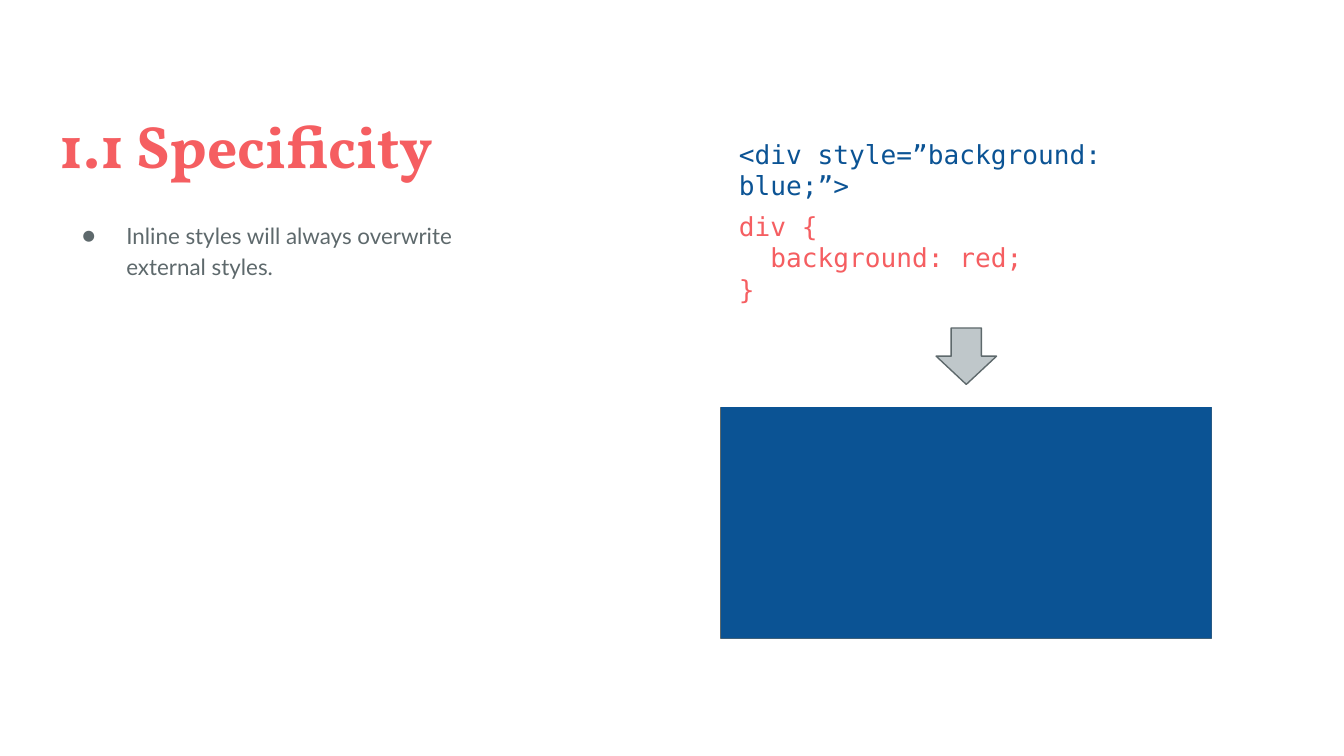
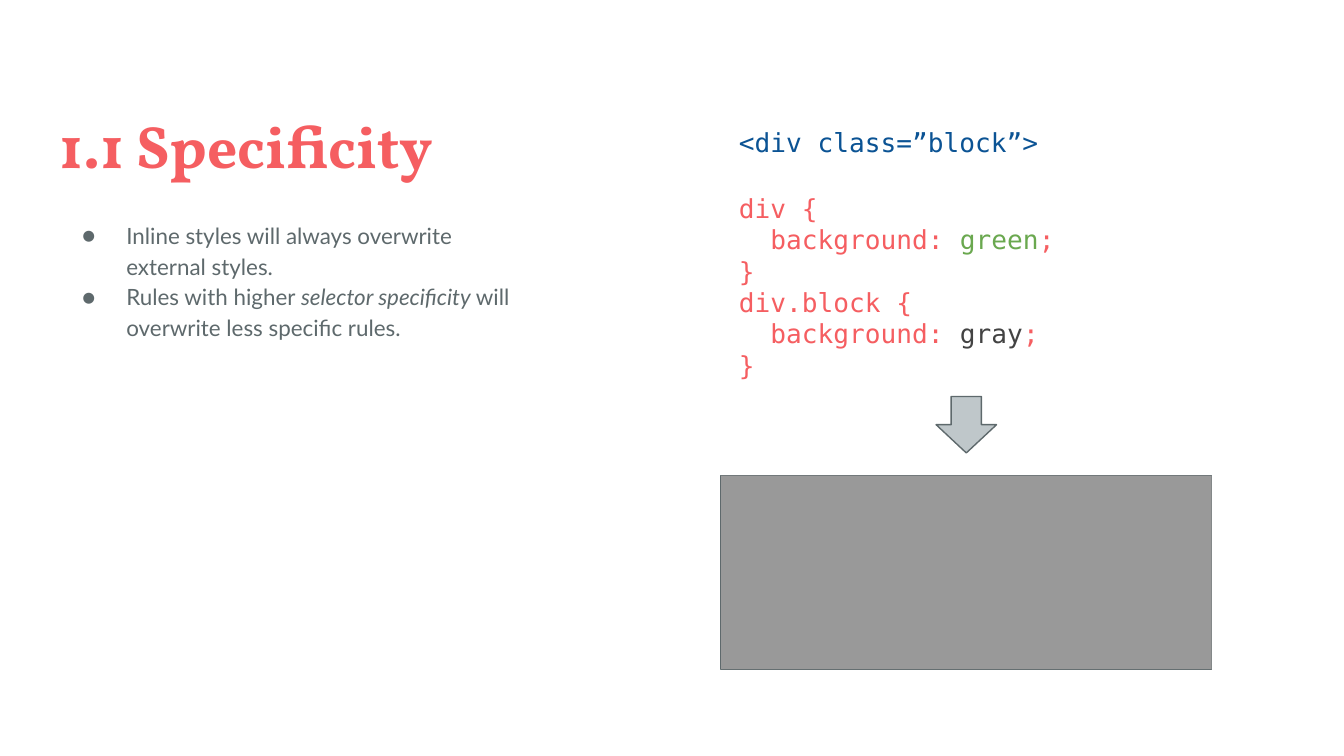
from lxml import etree
from pptx import Presentation
from pptx.dml.color import RGBColor
from pptx.enum.shapes import MSO_SHAPE as SHAPE
from pptx.enum.text import MSO_ANCHOR as ANCHOR, MSO_AUTO_SIZE as AUTO, PP_ALIGN as ALIGN
from pptx.oxml.ns import qn
from pptx.util import Inches, Pt

CORAL = RGBColor(0xF5, 0x5E, 0x61)
SLATE = RGBColor(0x5E, 0x69, 0x6C)
SILVER = RGBColor(0xBF, 0xC7, 0xCA)
BLUE = RGBColor(0x0B, 0x53, 0x94)
GREEN = RGBColor(0x6A, 0xA8, 0x4F)
CHARCOAL = RGBColor(0x43, 0x43, 0x43)
GRAY = RGBColor(0x99, 0x99, 0x99)
WHITE = RGBColor(0xFF, 0xFF, 0xFF)

SLIDE_W = Inches(10)
SLIDE_H = SLIDE_W * 9 // 16
COLS, ROWS = 100, 56.25

LEFT_COL = 3.4
CODE_COL, CODE_W = 54, 35.9
RESULT_COL, RESULT_W = 53.65, 36.5
ARROW_W, ARROW_H, ARROW_GAP = 4.5, 4.2, 1.7


class Deck:
    title_font, body_font, code_font = "Vollkorn", "Lato", "DejaVu Sans Mono"

    def __init__(self):
        self.prs = Presentation()
        self.prs.slide_width, self.prs.slide_height = SLIDE_W, SLIDE_H
        self.s = None

    def area(self, col, row, width, height):
        """Turn grid units into left, top, width and height."""
        x, y = SLIDE_W / COLS, SLIDE_H / ROWS
        return [round(v) for v in (col * x, row * y, width * x, height * y)]

    def place(self, sp, *cells):
        sp.left, sp.top, sp.width, sp.height = self.area(*cells)

    def frame(self, sp, anchor=ANCHOR.TOP):
        tf = sp.text_frame
        tf.word_wrap, tf.auto_size = True, AUTO.NONE
        tf.vertical_anchor = anchor
        tf.margin_left = tf.margin_right = tf.margin_top = tf.margin_bottom = Inches(0.1)
        return tf

    def paragraphs(self, tf, count):
        for _ in range(count - 1):
            tf.add_paragraph()
        for p in tf.paragraphs:
            p.alignment = ALIGN.LEFT
            p.space_before = Pt(0)
        return tf.paragraphs

    def run(self, p, text, font, size, color, bold=False, italic=False):
        r = p.add_run()
        r.text = text
        f = r.font
        f.name, f.size, f.bold, f.italic = font, Pt(size), bold, italic
        f.color.rgb = color

    def bullet(self, p):
        pPr = p._p.get_or_add_pPr()
        pPr.set("marL", str(Inches(0.5)))
        pPr.set("indent", str(Inches(-0.33)))
        clr = etree.SubElement(pPr, qn("a:buClr"))
        etree.SubElement(clr, qn("a:srgbClr"), val=str(SLATE))
        etree.SubElement(pPr, qn("a:buSzPts"), val="1200")
        etree.SubElement(pPr, qn("a:buFont"), typeface=self.body_font)
        etree.SubElement(pPr, qn("a:buChar"), char="●")

    def slide(self, title, bullets):
        """Add a slide with its title and list; a list item holds (text, italic) runs."""
        self.s = self.prs.slides.add_slide(self.prs.slide_layouts[1])
        head, body = self.s.placeholders
        self.place(head, LEFT_COL, 6.1, 50.2, 8.3)
        p, = self.paragraphs(self.frame(head, ANCHOR.BOTTOM), 1)
        self.run(p, title, self.title_font, 32, CORAL, bold=True)

        self.place(body, LEFT_COL, 15.2, 37.2, 34.8)
        for p, item in zip(self.paragraphs(self.frame(body), len(bullets)), bullets):
            p.line_spacing = 1.15
            self.bullet(p)
            for text, italic in item:
                self.run(p, text, self.body_font, 12, SLATE, italic=italic)

    def code(self, row, height, lines):
        """Add a code box; a line holds (text, color) runs."""
        tb = self.s.shapes.add_textbox(*self.area(CODE_COL, row, CODE_W, height))
        for p, line in zip(self.paragraphs(self.frame(tb), len(lines)), lines):
            for text, color in line:
                self.run(p, text, self.code_font, 14, color)

    def shape(self, kind, fill, *cells, line=None):
        sp = self.s.shapes.add_shape(kind, *self.area(*cells))
        sp.shadow.inherit = False
        sp.fill.solid()
        sp.fill.fore_color.rgb = fill
        if line is None:
            sp.line.fill.background()
        else:
            sp.line.color.rgb = line
            sp.line.width = Pt(0.75)

    def result(self, row, height, fill):
        """Add the rendered block on its outlined card, with an arrow centred above."""
        card = RESULT_COL, row, RESULT_W, height
        self.shape(SHAPE.RECTANGLE, WHITE, *card, line=SLATE)
        self.shape(SHAPE.RECTANGLE, fill, *card)
        self.shape(SHAPE.DOWN_ARROW, SILVER, RESULT_COL + (RESULT_W - ARROW_W) / 2,
                   row - ARROW_GAP - ARROW_H, ARROW_W, ARROW_H, line=SLATE)


def rule(selector, value, color=CORAL):
    """Give the three code lines of a CSS rule that sets a background."""
    return [[(selector + " {", CORAL)],
            [("  background: ", CORAL), (value, color), (";", CORAL)],
            [("}", CORAL)]]


def main():
    title = "1.1 Specificity"
    inline = [("Inline styles will always overwrite external styles.", False)]
    specific = [("Rules with higher ", False), ("selector specificity ", True),
                ("will overwrite less specific rules.", False)]

    deck = Deck()
    deck.slide(title, [inline])
    deck.code(9.3, 4.9, [[("<div style=”background: blue;”>", BLUE)]])
    deck.code(14.65, 8.3, rule("div", "red"))
    deck.result(30.3, 17.2, BLUE)

    deck.slide(title, [inline, specific])
    deck.code(8.4, 4.9, [[("<div class=”block”>", BLUE)]])
    deck.code(13.3, 15.9, rule("div", "green", GREEN) + rule("div.block", "gray", CHARCOAL))
    deck.result(35.4, 14.4, GRAY)

    deck.prs.save("out.pptx")


if __name__ == "__main__":
    main()
